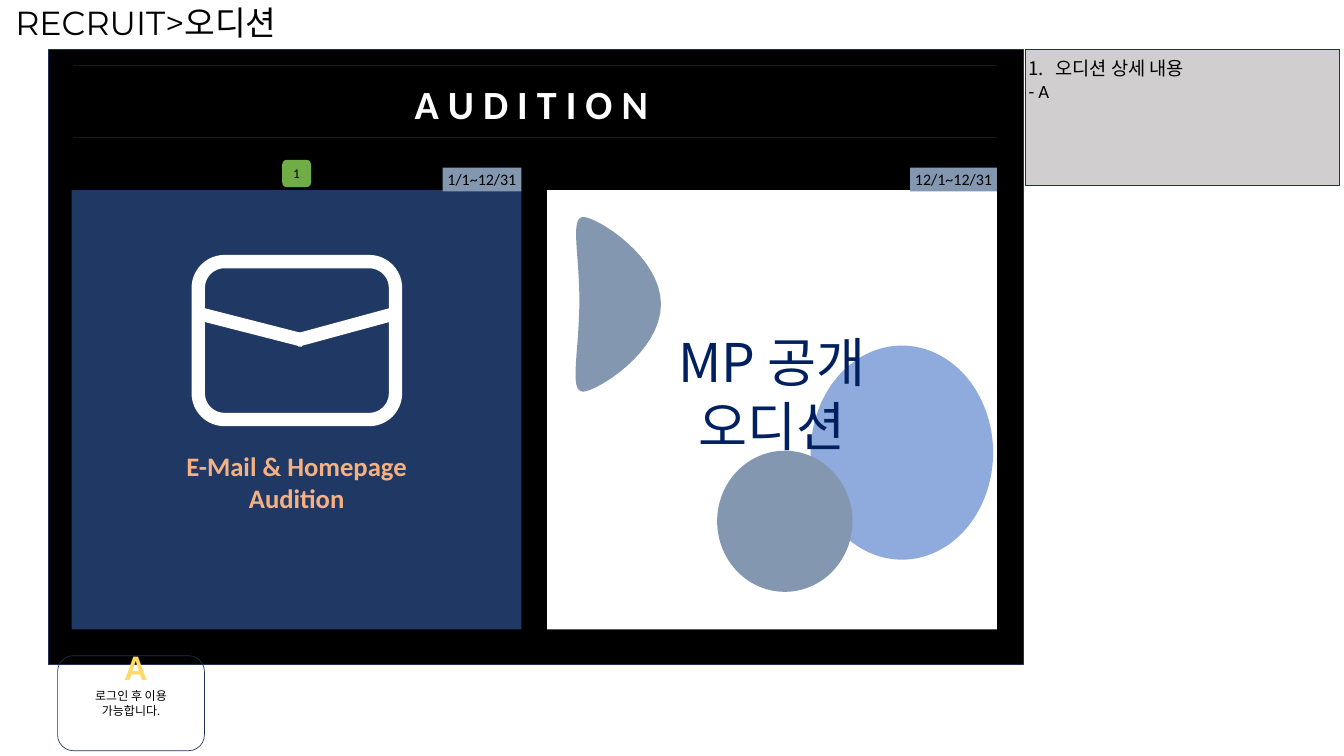
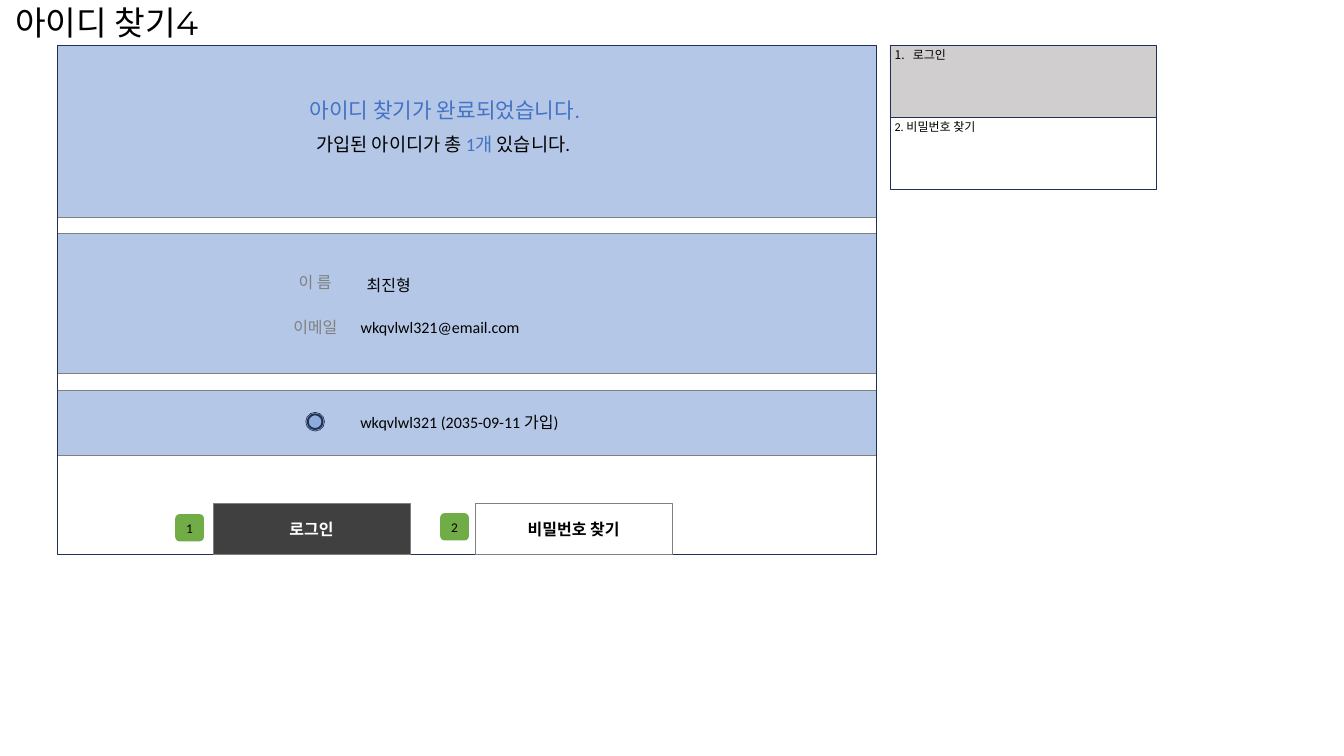
from lxml.etree import SubElement
from pptx import Presentation
from pptx.dml.color import RGBColor
from pptx.enum.shapes import MSO_CONNECTOR, MSO_SHAPE as Shape
from pptx.enum.text import MSO_ANCHOR as Anchor, PP_ALIGN as Align
from pptx.oxml.ns import qn
from pptx.util import Inches, Pt

COLORS = {
    "black": "000000", "white": "FFFFFF", "navy": "203864", "edge": "1E3256",
    "rule": "181717", "steel": "8497B0", "sky": "8FAADC", "pale": "B4C7E7",
    "blue": "4472C4", "ink": "002060", "peach": "F4B183", "gold": "FFD966",
    "green": "70AD47", "note": "D0CECE", "gray": "808080", "dark": "404040",
}
BODY, HEADING, KOREAN = "Calibri", "Montserrat", "Noto Sans CJK KR"

# Audition content: (panel left, fill, period, period tag width)
PANELS = [(1.49, "navy", "1/1~12/31", 1.64), (11.4, "white", "12/1~12/31", 1.81)]
PANEL_TOP, PANEL_WIDTH, PANEL_HEIGHT, TAG_TOP = 3.96, 9.37, 9.15, 3.49
RULE_TOPS = [1.36, 2.85]
ENVELOPE = (4.13, 5.45, 4.11, 3.29)
FLAPS = [((4.13, 6.53), (6.32, 7.09)), ((8.24, 6.53), (6.18, 7.09))]
LEAF_START = (12.07, 6.39)
LEAF_CURVES = [
    ((12.09, 5.36), (11.86, 4.53), (12.15, 4.52)),
    ((12.43, 4.52), (13.77, 5.34), (13.77, 6.34)),
    ((13.77, 7.34), (12.43, 8.15), (12.15, 8.16)),
    ((11.86, 8.16), (12.05, 7.42), (12.07, 6.39)),
]

# Find-ID content
FRAME_LEFT, FRAME_TOP, FRAME_WIDTH, FRAME_HEIGHT = 1.2, 0.94, 17.05, 10.6
BANDS = [(0.94, 3.58), (4.86, 2.91), (8.13, 1.35)]
RESULT = [("가입된 아이디가 총 ", "black"), ("1개", "blue"), (" 있습니다.", "black")]
FIELDS = [
    ("이 름", (6.02, 5.63, 1.09, 0.5), "gray"),
    ("이메일", (5.94, 6.57, 1.26, 0.5), "gray"),
    ("최진형", (7.47, 5.69, 1.26, 0.5), "black"),
    ("wkqvlwl321@email.com", (7.29, 6.57, 3.76, 0.5), "black"),
    ("wkqvlwl321 (2035-09-11 가입)", (7.2, 8.55, 4.74, 0.5), "black"),
]
# (label, left, fill, text colour, badge left, badge top)
BUTTONS = [
    ("로그인", 4.44, "dark", "white", 3.65, 10.71),
    ("비밀번호 찾기", 9.9, "white", "black", 9.17, 10.69),
]
# (text, fill, automatic number)
NOTES = [("로그인", "note", True), ("2. 비밀번호 찾기", None, False)]
NOTE_LEFT, NOTE_WIDTH, NOTE_HEIGHT = 18.54, 5.55, 1.5


def rgb(name):
    return RGBColor.from_string(COLORS[name])


def paint(shape, fill=None, line=None, weight=1):
    shape.shadow.inherit = False
    if fill:
        shape.fill.solid()
        shape.fill.fore_color.rgb = rgb(fill)
    else:
        shape.fill.background()
    if line:
        shape.line.color.rgb = rgb(line)
        shape.line.width = Pt(weight)
    else:
        shape.line.fill.background()
    return shape


def add_block(slide, box, fill=None, line=None, weight=1, kind=Shape.RECTANGLE):
    block = slide.shapes.add_shape(kind, *map(Inches, box))
    return paint(block, fill, line, weight)


def style(run, size, color, font=BODY, bold=False):
    run.font.size, run.font.name, run.font.bold = Pt(size), font, bold
    run.font.color.rgb = rgb(color)
    SubElement(run.font._element, qn("a:ea")).set("typeface", KOREAN)


def write(shape, text, size, color="black", font=BODY, bold=False, align=Align.CENTER):
    frame = shape.text_frame
    frame.text = text
    for paragraph in frame.paragraphs:
        paragraph.alignment = align
        for run in paragraph.runs:
            style(run, size, color, font, bold)
    return frame


def add_text(slide, box, text, size, color="black", **look):
    label = slide.shapes.add_textbox(*map(Inches, box))
    label.text_frame.word_wrap = True
    return write(label, text, size, color, **look)


def add_line(slide, start, end, color, weight):
    points = [Inches(value) for value in (*start, *end)]
    line = slide.shapes.add_connector(MSO_CONNECTOR.STRAIGHT, *points)
    line.line.color.rgb = rgb(color)
    line.line.width = Pt(weight)
    SubElement(line._element.spPr, qn("a:effectLst"))


def number(paragraph, indent):
    props = paragraph._p.get_or_add_pPr()
    props.set("marL", str(Inches(indent)))
    props.set("indent", str(-Inches(indent)))
    SubElement(props, qn("a:buFont")).set("typeface", "+mj-lt")
    SubElement(props, qn("a:buAutoNum")).set("type", "arabicPeriod")


def add_title(slide, text, width):
    add_text(slide, (0.22, 0, width, 0.94), text, 50, font=HEADING, align=Align.LEFT)


def add_badge(slide, left, top, digit):
    badge = add_block(slide, (left, top, 0.6, 0.57), "green", kind=Shape.ROUNDED_RECTANGLE)
    frame = write(badge, digit, 20)
    frame.margin_left = frame.margin_right = frame.margin_top = frame.margin_bottom = 0
    frame.vertical_anchor = Anchor.MIDDLE


def curve_points(start, curves, steps=16):
    """Points along a chain of cubic curves."""
    points = []
    for first, second, end in curves:
        for step in range(1, steps + 1):
            t = step / steps
            u = 1 - t
            points.append(tuple(
                u**3 * a + 3 * u * u * t * b + 3 * u * t * t * c + t**3 * d
                for a, b, c, d in zip(start, first, second, end)))
        start = end
    return points


def build_audition(slide):
    add_block(slide, (1, 1.03, 20.31, 12.81), "black", "edge")
    add_title(slide, "RECRUIT>오디션", 6.41)

    # Heading between two rules
    for top in RULE_TOPS:
        add_line(slide, (1.53, top), (20.77, top), "rule", 0.5)
    add_text(slide, (8.54, 1.6, 5.23, 1.03), "A U D I T I O N", 60, "white",
             bold=True, align=Align.LEFT)

    # Panels with their periods
    for left, fill, period, tag_width in PANELS:
        add_block(slide, (left, PANEL_TOP, PANEL_WIDTH, PANEL_HEIGHT), fill)
        tag_left = left + PANEL_WIDTH - tag_width
        tag = add_block(slide, (tag_left, TAG_TOP, tag_width, 0.5), "steel")
        write(tag, period, 24).word_wrap = False

    # E-mail panel
    add_block(slide, ENVELOPE, "navy", "white", 20, Shape.ROUNDED_RECTANGLE)
    for start, end in FLAPS:
        add_line(slide, start, end, "white", 20)
    add_text(slide, (3.65, 9.33, 5.06, 1.45), "E-Mail & Homepage Audition", 40,
             "peach", bold=True)

    # Open audition panel
    builder = slide.shapes.build_freeform(*map(Inches, LEAF_START))
    builder.add_line_segments(
        [(Inches(x), Inches(y)) for x, y in curve_points(LEAF_START, LEAF_CURVES)])
    paint(builder.convert_to_shape(), "steel")
    add_block(slide, (16.89, 7.2, 3.8, 4.46), "sky", kind=Shape.OVAL)
    add_text(slide, (12.59, 6.81, 6.99, 1.35), "MP 공개 오디션", 80, "ink", font=KOREAN)
    add_block(slide, (14.94, 9.39, 2.82, 2.94), "steel", kind=Shape.OVAL)

    # Description
    add_block(slide, (21.36, 1.03, 6.55, 2.83), "note", "edge")
    details = add_text(slide, (21.33, 1.14, 5.16, 1.04), "오디션 상세 내용\n- A", 28,
                       align=Align.LEFT)
    number(details.paragraphs[0], 0.56)
    add_badge(slide, 5.88, 3.33, "1")

    # Login message
    message = add_block(slide, (1.2, 13.66, 3.06, 1.98), None, "edge",
                        kind=Shape.ROUNDED_RECTANGLE)
    write(message, "로그인 후 이용 가능합니다.", 18)
    add_text(slide, (2.5, 13.37, 0.66, 0.66), "A", 54, "gold", bold=True).word_wrap = False


def build_find_id(slide):
    # Bands inside the frame
    for top, height in BANDS:
        add_block(slide, (FRAME_LEFT, top, FRAME_WIDTH, height), "pale", "gray")
    add_block(slide, (FRAME_LEFT, FRAME_TOP, FRAME_WIDTH, FRAME_HEIGHT), None, "edge")
    add_title(slide, "아이디 찾기4", 7.51)

    # Result
    add_text(slide, (6.35, 1.97, 6.47, 0.64), "아이디 찾기가 완료되었습니다.", 32, "blue",
             align=Align.LEFT)
    result = add_text(slide, (6.49, 2.72, 6.19, 0.57), "", 28, align=Align.LEFT)
    for text, color in RESULT:
        run = result.paragraphs[0].add_run()
        run.text = text
        style(run, 28, color)

    # Account details and radio button
    for text, box, color in FIELDS:
        add_text(slide, box, text, 24, color)
    add_block(slide, (6.37, 8.59, 0.39, 0.39), None, "edge", kind=Shape.OVAL)
    add_block(slide, (6.41, 8.63, 0.31, 0.31), "sky", "edge", 3, Shape.OVAL)

    # Buttons with badges
    for index, (label, left, fill, color, badge_left, badge_top) in enumerate(BUTTONS, 1):
        button = add_block(slide, (left, 10.49, 4.1, 1.05), fill, "gray")
        write(button, label, 24, color, bold=True)
        add_badge(slide, badge_left, badge_top, str(index))

    # Descriptions
    for index, (text, fill, numbered) in enumerate(NOTES):
        top = FRAME_TOP + index * NOTE_HEIGHT
        add_block(slide, (NOTE_LEFT, top, NOTE_WIDTH, NOTE_HEIGHT), fill, "edge")
        note = add_text(slide, (NOTE_LEFT, top, 3.01, 0.4), text, 18, align=Align.LEFT)
        if numbered:
            number(note.paragraphs[0], 0.38)


def main():
    deck = Presentation()
    deck.slide_width, deck.slide_height = Inches(28), Inches(15.75)
    for build in (build_audition, build_find_id):
        build(deck.slides.add_slide(deck.slide_layouts[6]))
    deck.save("out.pptx")


if __name__ == "__main__":
    main()
